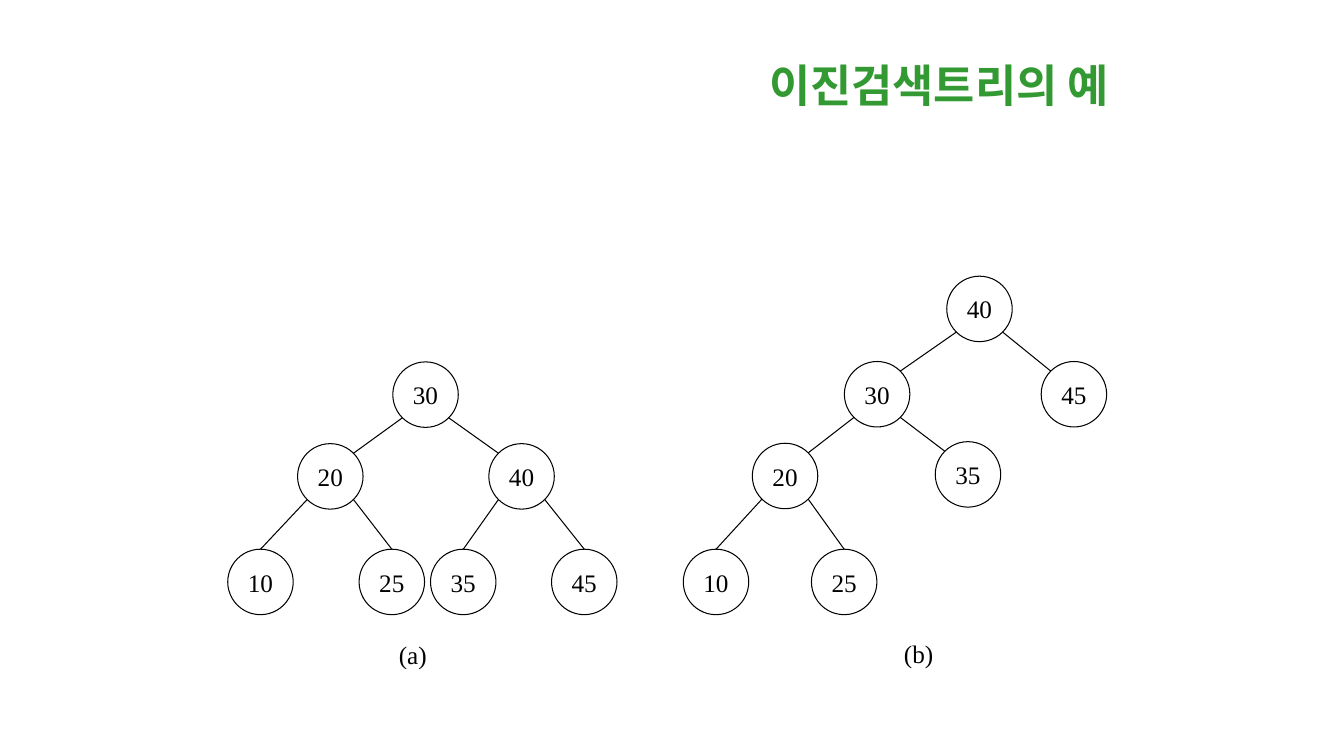
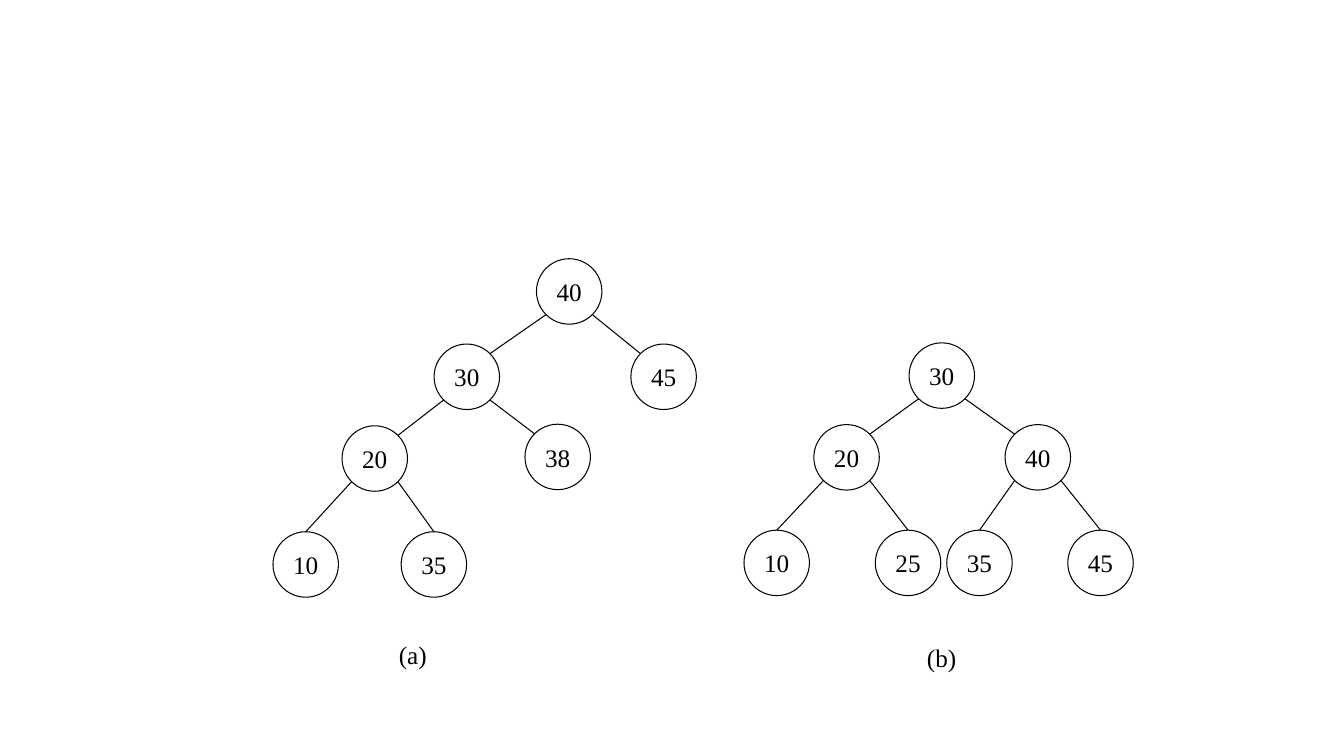
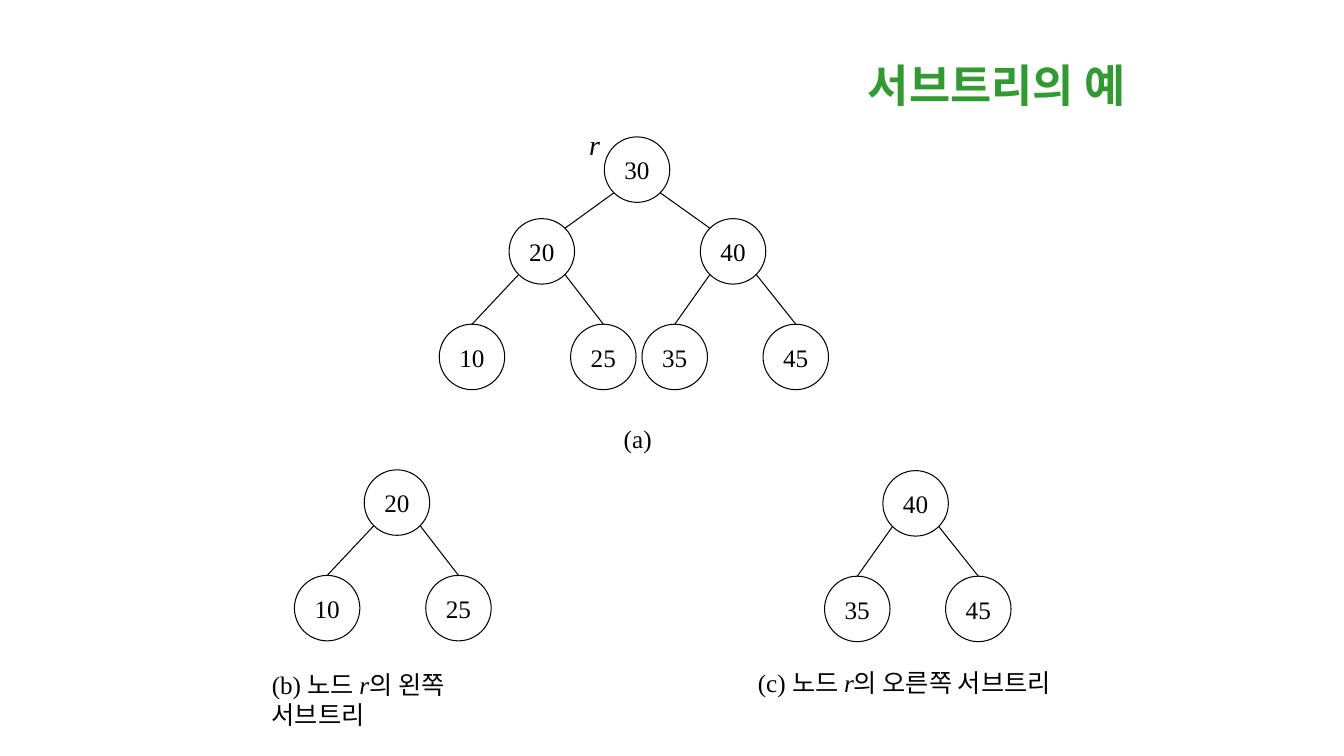
from math import sqrt

from lxml import etree
from pptx import Presentation
from pptx.dml.color import RGBColor
from pptx.enum.shapes import MSO_CONNECTOR, MSO_SHAPE
from pptx.enum.text import MSO_ANCHOR, PP_ALIGN
from pptx.oxml.ns import qn
from pptx.util import Cm, Pt

CIRCLE = MSO_SHAPE.OVAL
STRAIGHT = MSO_CONNECTOR.STRAIGHT
MIDDLE = MSO_ANCHOR.MIDDLE
CENTER = PP_ALIGN.CENTER

COLORS = {"title": "339933", "ink": "000000"}
TITLE_FONT = "Cambria"
BODY_FONT = "Times New Roman"
TITLE_LAYOUT, BLANK_LAYOUT = 5, 6

NODE_SIZE = 1.65
RADIUS = NODE_SIZE / 2
DIAGONAL = RADIUS / sqrt(2)
TALL_DROP = 2.5

BALANCED = {
    "": (4.16, 0),
    "L": (1.76, 2.06), "R": (6.58, 2.06),
    "LL": (0, 4.72), "LR": (3.31, 4.72),
    "RL": (5.11, 4.72), "RR": (8.16, 4.72),
}
LEANING = {
    "": (6.64, 0),
    "L": (4.06, 2.15), "R": (9.02, 2.15),
    "LL": (1.74, 4.21), "LR": (6.35, 4.17),
    "LLL": (0, 6.88), "LLR": (3.23, 6.88),
}


def subtree(layout, side):
    branch = {key[1:]: spot for key, spot in layout.items() if key.startswith(side)}
    left = min(x for x, _ in branch.values())
    top = min(y for _, y in branch.values())
    return {key: (x - left, y - top) for key, (x, y) in branch.items()}


def color(name):
    return RGBColor.from_string(COLORS[name])


def add_run(paragraph, text, size=18, font=BODY_FONT, ink="ink", bold=False, italic=False):
    run = paragraph.add_run()
    run.text = text
    run.font.name = font
    run.font.size = Pt(size)
    run.font.bold = bold
    run.font.italic = italic
    run.font.color.rgb = color(ink)


def outline(line):
    line.color.rgb = color("ink")
    line.width = Pt(0.75)


def add_title(slide, left, width, text):
    title = slide.shapes.title
    title.left, title.top, title.width, title.height = Cm(left), Cm(1.07), Cm(width), Cm(2.11)
    title.text_frame.vertical_anchor = MIDDLE
    paragraph = title.text_frame.paragraphs[0]
    paragraph.alignment = CENTER
    add_run(paragraph, text, 32, TITLE_FONT, "title", bold=True)


def add_label(slide, left, top, width, parts, size=18):
    label = slide.shapes.add_textbox(Cm(left), Cm(top), Cm(width), Cm(1.02))
    label.text_frame.word_wrap = True
    for text, italic in parts:
        add_run(label.text_frame.paragraphs[0], text, size, italic=italic)


def add_node(slide, left, top, value):
    node = slide.shapes.add_shape(CIRCLE, Cm(left), Cm(top), Cm(NODE_SIZE), Cm(NODE_SIZE))
    node.shadow.inherit = False
    node.fill.background()
    outline(node.line)
    node.text_frame.word_wrap = False
    node.text_frame.vertical_anchor = MIDDLE
    paragraph = node.text_frame.paragraphs[0]
    paragraph.alignment = CENTER
    add_run(paragraph, str(value))


def add_edge(slide, parent, child, side):
    direction = -1 if side == "L" else 1
    start_x = parent[0] + RADIUS + direction * DIAGONAL
    start_y = parent[1] + RADIUS + DIAGONAL
    end_x, end_y = child[0] + RADIUS, child[1]
    if child[1] - parent[1] < TALL_DROP:
        end_x -= direction * DIAGONAL
        end_y += RADIUS - DIAGONAL
    edge = slide.shapes.add_connector(STRAIGHT, Cm(start_x), Cm(start_y), Cm(end_x), Cm(end_y))
    outline(edge.line)
    etree.SubElement(edge._element.spPr, qn("a:effectLst"))


def add_tree(slide, left, top, layout, values, caption, caption_at, caption_width=2):
    spots = {key: (left + x, top + y) for key, (x, y) in layout.items()}
    for (key, spot), value in zip(spots.items(), values):
        add_node(slide, *spot, value)
        if key:
            add_edge(slide, spots[key[:-1]], spot, key[-1])
    add_label(slide, left + caption_at[0], top + caption_at[1], caption_width, caption)


def subtree_caption(letter, side):
    return [(f"({letter}) 노드 ", False), ("r", True), (f"의 {side} 서브트리", False)]


def search_tree_slide(deck):
    slide = deck.slides.add_slide(deck.slide_layouts[TITLE_LAYOUT])
    add_title(slide, 17.83, 11.68, "이진검색트리의 예")
    add_tree(slide, 5.74, 9.12, BALANCED, [30, 20, 40, 10, 25, 35, 45],
             [("(a)", False)], (4.06, 6.86))
    add_tree(slide, 17.22, 6.96, LEANING, [40, 30, 45, 20, 35, 10, 25],
             [("(b)", False)], (5.31, 8.99))


def comparison_slide(deck):
    slide = deck.slides.add_slide(deck.slide_layouts[BLANK_LAYOUT])
    add_tree(slide, 6.88, 6.52, LEANING, [40, 30, 45, 20, 38, 10, 35],
             [("(a)", False)], (2.92, 9.46))
    add_tree(slide, 18.75, 8.64, BALANCED, [30, 20, 40, 10, 25, 35, 45],
             [("(b)", False)], (4.36, 7.41))


def subtree_slide(deck):
    slide = deck.slides.add_slide(deck.slide_layouts[TITLE_LAYOUT])
    add_title(slide, 20.6, 9.04, "서브트리의 예")
    add_tree(slide, 11.07, 3.45, BALANCED, [30, 20, 40, 10, 25, 35, 45],
             [("(a)", False)], (4.4, 7.09))
    add_label(slide, 14.6, 3.1, 0.8, [("r", True)], 20)
    add_tree(slide, 7.42, 11.84, subtree(BALANCED, "L"), [20, 10, 25],
             subtree_caption("b", "왼쪽"), (-0.82, 4.9), 5.85)
    add_tree(slide, 20.78, 11.86, subtree(BALANCED, "R"), [40, 35, 45],
             subtree_caption("c", "오른쪽"), (-1.93, 4.83), 9)


def main():
    deck = Presentation()
    deck.slide_width, deck.slide_height = Cm(33.87), Cm(19.05)
    search_tree_slide(deck)
    comparison_slide(deck)
    subtree_slide(deck)
    deck.save("out.pptx")


if __name__ == "__main__":
    main()
